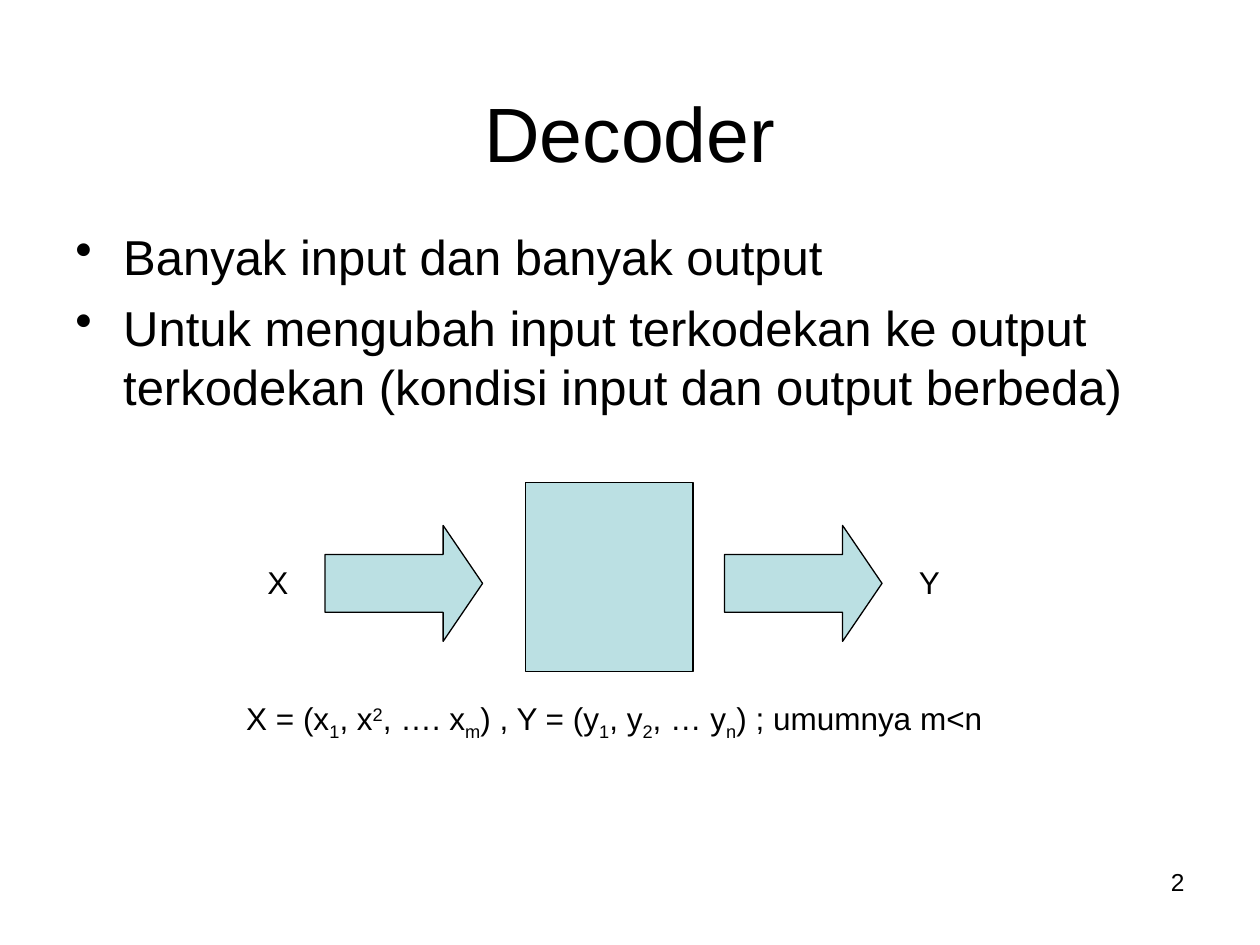
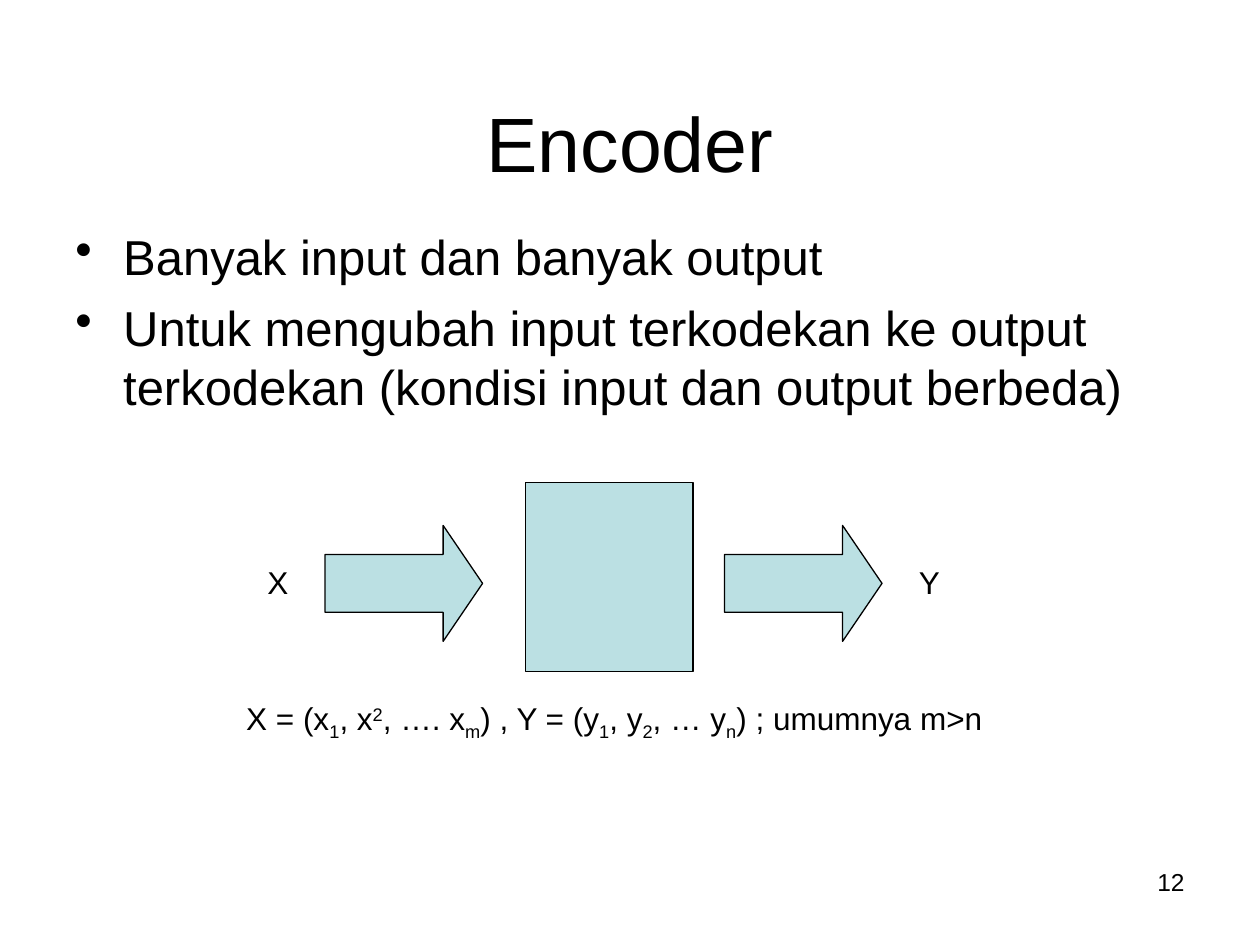
import pptx
import pptx.util
import pptx.dml.color
import pptx.enum.shapes
import pptx.enum.text
import pptx.oxml.ns
import lxml.etree

Inches = pptx.util.Inches
Pt = pptx.util.Pt
Align = pptx.enum.text.PP_ALIGN
Anchor = pptx.enum.text.MSO_ANCHOR
Shape = pptx.enum.shapes.MSO_SHAPE

COLORS = {"ink": "000000", "fill": "BBE0E3"}
SCRIPTS = {"_": "-25000", "^": "30000"}
POINTS = [
    "Banyak input dan banyak output",
    "Untuk mengubah input terkodekan ke output "
    "terkodekan (kondisi input dan output berbeda)",
]
FORMULA = "X = (x|_1|, x|^2|, …. x|_m|) , Y = (y|_1|, y|_2|, … y|_n|) ; umumnya "


def color(name):
    return pptx.dml.color.RGBColor.from_string(COLORS[name])


class Deck:
    font = "Arial"

    def __init__(self):
        self.prs = pptx.Presentation()
        self.prs.slide_width = Inches(10)
        self.prs.slide_height = Inches(7.5)
        self.slide = None

    def start(self):
        self.slide = self.prs.slides.add_slide(self.prs.slide_layouts[6])

    def text(self, box, lines, size, align=Align.LEFT, before=0,
             anchor=Anchor.TOP, bullet=False):
        frame = self.slide.shapes.add_textbox(*map(Inches, box)).text_frame
        frame.word_wrap = True
        frame.vertical_anchor = anchor
        for i, line in enumerate(lines):
            para = frame.add_paragraph() if i else frame.paragraphs[0]
            self.runs(para, line)
            if bullet:
                self.bullet(para)
            para.alignment = align
            para.space_before = Pt(before)
            para.font.name = self.font
            para.font.size = Pt(size)
            para.font.color.rgb = color("ink")

    def runs(self, para, line):
        for part in line.split("|"):
            run = para.add_run()
            shift = SCRIPTS.get(part[0])
            run.text = part[1:] if shift else part
            if shift:
                run._r.get_or_add_rPr().set("baseline", shift)

    def bullet(self, para):
        props = para._p.get_or_add_pPr()
        props.set("marL", str(Inches(0.38)))
        props.set("indent", str(Inches(-0.38)))
        mark = lxml.etree.SubElement(props, pptx.oxml.ns.qn("a:buChar"))
        mark.set("char", "•")

    def title(self, top, text):
        self.text((0.5, top, 9, 1.25), [text], 44, Align.CENTER,
                  anchor=Anchor.MIDDLE)

    def label(self, box, text):
        self.text(box, [text], 18, Align.CENTER, before=11.2)

    def number(self, text):
        self.text((7.17, 6.83, 2.33, 0.52), [text], 14, Align.RIGHT)

    def block(self, kind, box):
        shape = self.slide.shapes.add_shape(kind, *map(Inches, box))
        shape.shadow.inherit = False
        shape.fill.solid()
        shape.fill.fore_color.rgb = color("fill")
        shape.line.color.rgb = color("ink")
        shape.line.width = Pt(0.75)
        return shape

    def arrow(self, left):
        shape = self.block(Shape.RIGHT_ARROW, (left, 4.17, 1.25, 0.92))
        shape.adjustments[0] = 0.5
        shape.adjustments[1] = 0.34


def main():
    deck = Deck()
    for name, top, page, rule in (("Decoder", 0.42, "2", "m<n"),
                                  ("Encoder", 0.5, "12", "m>n")):
        deck.start()
        deck.number(page)
        deck.title(top, name)
        deck.text((0.5, 1.75, 9, 1.67), POINTS, 28, before=7, bullet=True)
        deck.block(Shape.RECTANGLE, (4.17, 3.83, 1.33, 1.5))
        for sign, left, tail in (("X", 1.83, 2.58), ("Y", 7, 5.75)):
            deck.arrow(tail)
            deck.label((left, 4.42, 0.75, 0.4), sign)
        deck.label((0.75, 5.5, 8.25, 0.44), FORMULA + rule)
    deck.prs.save("out.pptx")


if __name__ == "__main__":
    main()
